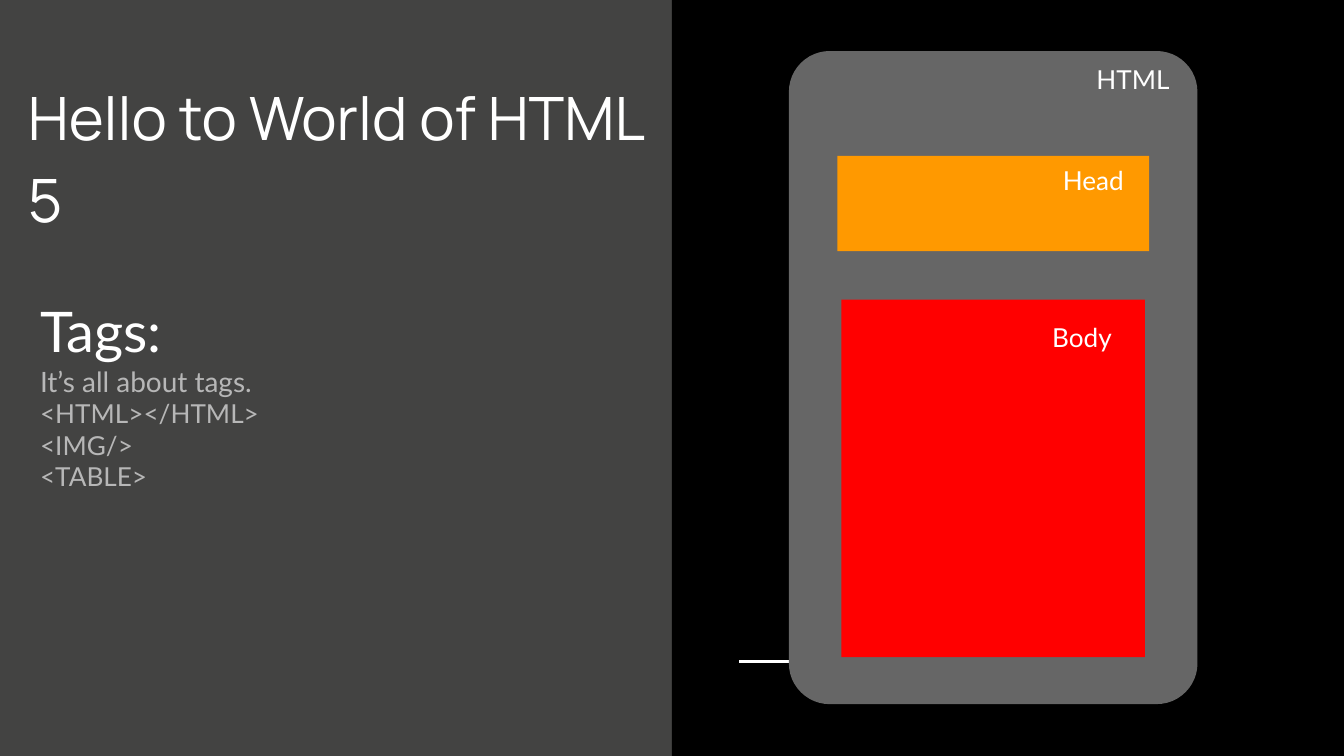
from dataclasses import dataclass

from lxml import etree
from pptx import Presentation
from pptx.dml.color import RGBColor
from pptx.enum.shapes import MSO_CONNECTOR, MSO_SHAPE
from pptx.enum.text import MSO_ANCHOR
from pptx.oxml.ns import qn
from pptx.util import Inches, Pt

RECTANGLE = MSO_SHAPE.RECTANGLE
ROUNDED = MSO_SHAPE.ROUNDED_RECTANGLE
STRAIGHT = MSO_CONNECTOR.STRAIGHT
TOP = MSO_ANCHOR.TOP
SLIDE_WIDTH = 10
SLIDE_HEIGHT = SLIDE_WIDTH * 9 / 16


@dataclass(frozen=True)
class Theme:
    background: str = "434342"
    panel: str = "000000"
    page: str = "666666"
    head: str = "FF9900"
    body: str = "FF0000"
    text: str = "FFFFFF"
    muted: str = "B7B7B7"
    title_font: str = "Manrope"
    text_font: str = "Lato"
    title_size: int = 32
    heading_size: int = 30
    intro_size: int = 15
    text_size: int = 14


theme = Theme()
presentation = Presentation()
presentation.slide_width = Inches(SLIDE_WIDTH)
presentation.slide_height = Inches(SLIDE_HEIGHT)
slide = presentation.slides.add_slide(presentation.slide_layouts[6])
slide.background.fill.solid()
slide.background.fill.fore_color.rgb = RGBColor.from_string(theme.background)


def add_block(kind, left, top, width, height, color):
    shape = slide.shapes.add_shape(
        kind, Inches(left), Inches(top), Inches(width), Inches(height))
    shape.shadow.inherit = False
    shape.fill.solid()
    shape.fill.fore_color.rgb = RGBColor.from_string(color)
    shape.line.fill.background()
    return shape


def add_text(left, top, width, height, lines, font=theme.text_font):
    """Add a text box; each line is (text, size, color)."""
    box = slide.shapes.add_textbox(
        Inches(left), Inches(top), Inches(width), Inches(height))
    frame = box.text_frame
    frame.word_wrap = True
    frame.vertical_anchor = TOP
    frame.margin_left = frame.margin_right = Inches(0.1)
    frame.margin_top = frame.margin_bottom = Inches(0.1)
    for index, (text, size, color) in enumerate(lines):
        paragraph = frame.add_paragraph() if index else frame.paragraphs[0]
        paragraph.text = text
        paragraph.font.name = font
        paragraph.font.size = Pt(size)
        paragraph.font.color.rgb = RGBColor.from_string(color)
    return box


# Right panel with its short rule
add_block(RECTANGLE, SLIDE_WIDTH / 2, 0, SLIDE_WIDTH / 2, SLIDE_HEIGHT, theme.panel)
rule = slide.shapes.add_connector(
    STRAIGHT, Inches(5.5), Inches(4.92), Inches(6.01), Inches(4.92))
rule.line.color.rgb = RGBColor.from_string(theme.text)
rule.line.width = Pt(1.5)
etree.SubElement(rule._element.spPr, qn("a:effectLst"))

# Title
title = add_text(0, 0.42, 5, 1.26,
                 [("Hello to World of HTML 5", theme.title_size, theme.text)],
                 theme.title_font)
title_paragraph = title.text_frame.paragraphs[0]
title_paragraph.line_spacing = 1.15
title_properties = title_paragraph._p.get_or_add_pPr()
title_properties.set("marL", str(Inches(0.11)))
title_properties.set("indent", "0")

# Tag list
tags = ["<HTML></HTML>", "<IMG/>", "<TABLE>"]
add_text(0.2, 2.11, 2.66, 1.98, [
    ("Tags:", theme.heading_size, theme.text),
    ("It’s all about tags.", theme.intro_size, theme.muted),
    *[(tag, theme.text_size, theme.muted) for tag in tags],
])

# Page diagram: block, then its label
sections = [
    ("HTML", ROUNDED, (5.87, 0.38, 3.04, 4.86), theme.page, (8.06, 0.37)),
    ("Head", RECTANGLE, (6.23, 1.16, 2.32, 0.71), theme.head, (7.81, 1.12)),
    ("Body", RECTANGLE, (6.26, 2.23, 2.26, 2.66), theme.body, (7.73, 2.29)),
]
for label, kind, bounds, color, label_position in sections:
    block = add_block(kind, *bounds, color)
    if kind == ROUNDED:
        block.adjustments[0] = 0.1
    add_text(*label_position, 0.9, 0.37, [(label, theme.text_size, theme.text)])

presentation.save("out.pptx")
